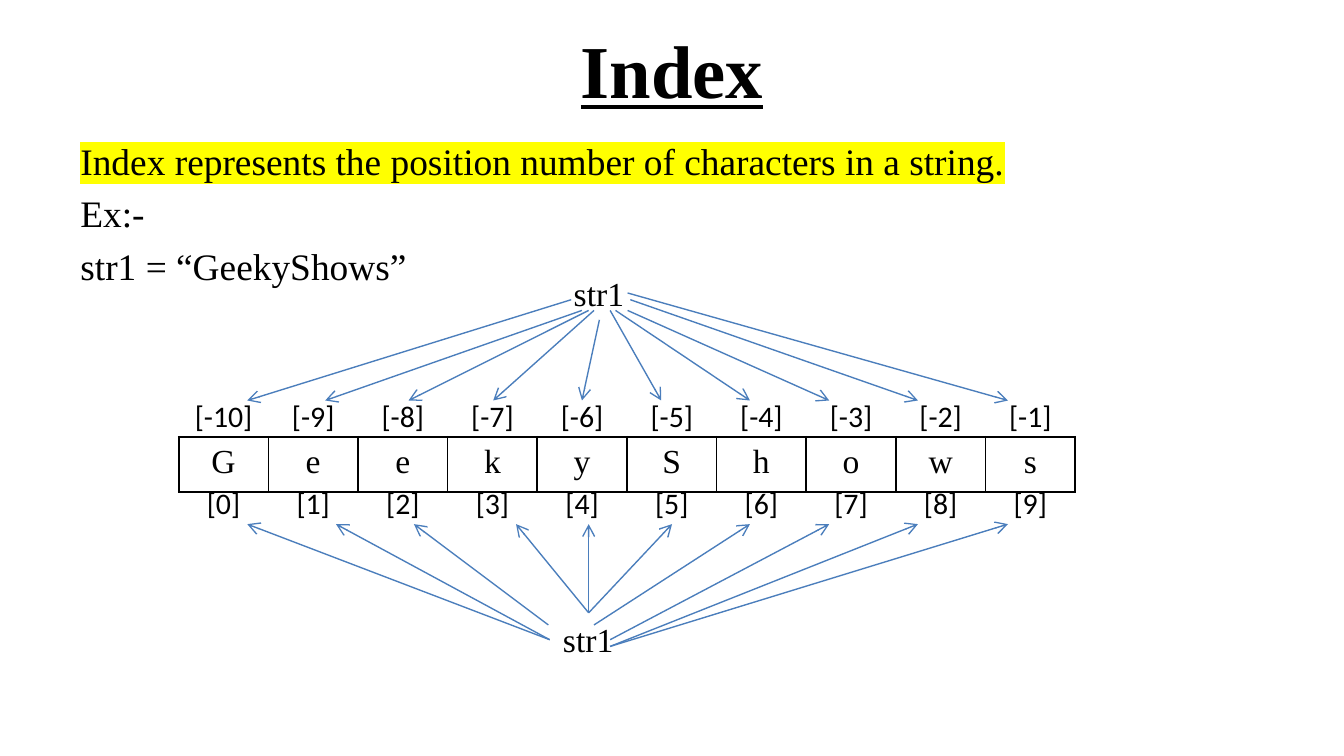
from typing import NamedTuple, Optional

import pptx
import pptx.dml.color
import pptx.enum.dml
import pptx.enum.shapes
import pptx.enum.text
import pptx.oxml
import pptx.oxml.ns
import pptx.util
from pptx.util import Inches

BLACK = pptx.dml.color.RGBColor(0x00, 0x00, 0x00)
YELLOW = pptx.dml.color.RGBColor(0xFF, 0xFF, 0x00)
ARROW_BLUE = pptx.dml.color.RGBColor(0x4B, 0x7E, 0xBC)
SERIF = "Times New Roman"
SANS = "Calibri"
NAMESPACE = pptx.oxml.ns.nsdecls("a")
TOP, LEFT, BOTTOM = 0, 1, 2
WORD = "GeekyShows"


class Strip(NamedTuple):
    top: float
    entries: list[str]
    font: str
    size: int
    bordered: bool


class Arrow(NamedTuple):
    start: tuple[float, float]
    tip_x: float
    site: Optional[int] = None


class Fan(NamedTuple):
    left: float
    top: float
    tip_y: float
    arrows: list[Arrow]


STRIPS = [
    Strip(3.25, list(WORD), SERIF, 18, True),
    Strip(3.57, [f"[{i}]" for i in range(len(WORD))], SANS, 16, False),
    Strip(2.92, [f"[{i}]" for i in range(-len(WORD), 0)], SANS, 16, False),
]

FANS = [
    Fan(4.17, 1.98, 2.98, [
        Arrow((4.25, 2.23), 1.84),
        Arrow((4.33, 2.31), 2.42),
        Arrow((4.38, 2.31), 3.04),
        Arrow((4.42, 2.31), 3.67),
        Arrow((4.46, 2.38), 4.33, BOTTOM),
        Arrow((4.54, 2.31), 4.92),
        Arrow((4.58, 2.31), 5.58),
        Arrow((4.67, 2.31), 6.17),
        Arrow((4.69, 2.23), 6.83),
        Arrow((4.67, 2.18), 7.5),
    ]),
    Fan(4.09, 4.56, 3.9, [
        Arrow((4.09, 4.76), 1.84, LEFT),
        Arrow((4.09, 4.76), 2.5, LEFT),
        Arrow((4.08, 4.65), 3.08),
        Arrow((4.38, 4.56), 3.84, TOP),
        Arrow((4.38, 4.56), 4.38, TOP),
        Arrow((4.38, 4.56), 5, TOP),
        Arrow((4.42, 4.65), 5.58),
        Arrow((4.54, 4.76), 6.17),
        Arrow((4.54, 4.81), 6.83),
        Arrow((4.54, 4.81), 7.5),
    ]),
]


def style_font(font, name: str, size: int) -> None:
    font.name = name
    font.size = pptx.util.Pt(size)
    font.color.rgb = BLACK


def add_text(slide, left: float, top: float, width: float, height: float,
             text: str, size: int, wrap: bool = True):
    box = slide.shapes.add_textbox(Inches(left), Inches(top), Inches(width), Inches(height))
    box.text_frame.word_wrap = wrap
    box.text_frame.text = text
    for paragraph in box.text_frame.paragraphs:
        for run in paragraph.runs:
            style_font(run.font, SERIF, size)
    return box


def highlight(run) -> None:
    marker = pptx.oxml.parse_xml(
        f'<a:highlight {NAMESPACE}><a:srgbClr val="{YELLOW}"/></a:highlight>')
    run.font.fill._xPr.find(pptx.oxml.ns.qn("a:solidFill")).addnext(marker)


def set_borders(cell, visible: bool) -> None:
    paint = (f'<a:solidFill><a:srgbClr val="{BLACK}"/></a:solidFill>'
             if visible else "<a:noFill/>")
    properties = cell._tc.get_or_add_tcPr()
    for position, side in enumerate(("lnL", "lnR", "lnT", "lnB")):
        border = pptx.oxml.parse_xml(
            f'<a:{side} {NAMESPACE} w="{pptx.util.Pt(1)}">{paint}</a:{side}>')
        properties.insert(position, border)


def add_strip(slide, strip: Strip) -> None:
    table = slide.shapes.add_table(
        1, len(strip.entries), Inches(1.33), Inches(strip.top), Inches(6.67), Inches(0.41)).table
    table.first_row = table.horz_banding = False
    for cell, entry in zip(table.iter_cells(), strip.entries):
        cell.fill.background()
        set_borders(cell, strip.bordered)
        cell.text_frame.text = entry
        paragraph = cell.text_frame.paragraphs[0]
        paragraph.alignment = pptx.enum.text.PP_ALIGN.CENTER
        style_font(paragraph.runs[0].font, strip.font, strip.size)


def add_arrow(slide, arrow: Arrow, tip_y: float, variable) -> None:
    x, y = arrow.start
    connector = slide.shapes.add_connector(
        pptx.enum.shapes.MSO_CONNECTOR.STRAIGHT,
        Inches(x), Inches(y), Inches(arrow.tip_x), Inches(tip_y))
    if arrow.site is not None:
        connector.begin_connect(variable, arrow.site)
    connector.line.color.rgb = ARROW_BLUE
    connector.line.width = pptx.util.Pt(0.75)
    connector.line._get_or_add_ln().append(
        pptx.oxml.parse_xml(f'<a:tailEnd {NAMESPACE} type="arrow"/>'))
    connector._element.spPr.append(pptx.oxml.parse_xml(f"<a:effectLst {NAMESPACE}/>"))


def add_fan(slide, fan: Fan) -> None:
    variable = add_text(slide, fan.left, fan.top, 0.58, 0.4, "str1", 18, wrap=False)
    variable.text_frame.auto_size = pptx.enum.text.MSO_AUTO_SIZE.SHAPE_TO_FIT_TEXT
    for arrow in fan.arrows:
        add_arrow(slide, arrow, fan.tip_y, variable)


def main() -> None:
    """Build the slide on positive and negative string indexes."""
    deck = pptx.Presentation()
    deck.slide_width = Inches(10)
    deck.slide_height = deck.slide_width * 9 // 16
    slide = deck.slides.add_slide(deck.slide_layouts[6])

    title = add_text(slide, 0.5, 0.04, 9, 0.94, "Index", 40)
    title.text_frame.vertical_anchor = pptx.enum.text.MSO_ANCHOR.MIDDLE
    heading = title.text_frame.paragraphs[0]
    heading.alignment = pptx.enum.text.PP_ALIGN.CENTER
    heading.runs[0].font.bold = heading.runs[0].font.underline = True

    explanation = add_text(
        slide, 0.5, 0.98, 9, 3.71,
        "Index represents the position number of characters in a string.\n"
        f"Ex:-\nstr1 = “{WORD}”", 20)
    definition, *example = explanation.text_frame.paragraphs
    highlight(definition.runs[0])
    for paragraph in example:
        paragraph.space_before = pptx.util.Pt(4)

    for strip in STRIPS:
        add_strip(slide, strip)
    for fan in FANS:
        add_fan(slide, fan)

    deck.save("out.pptx")


if __name__ == "__main__":
    main()
